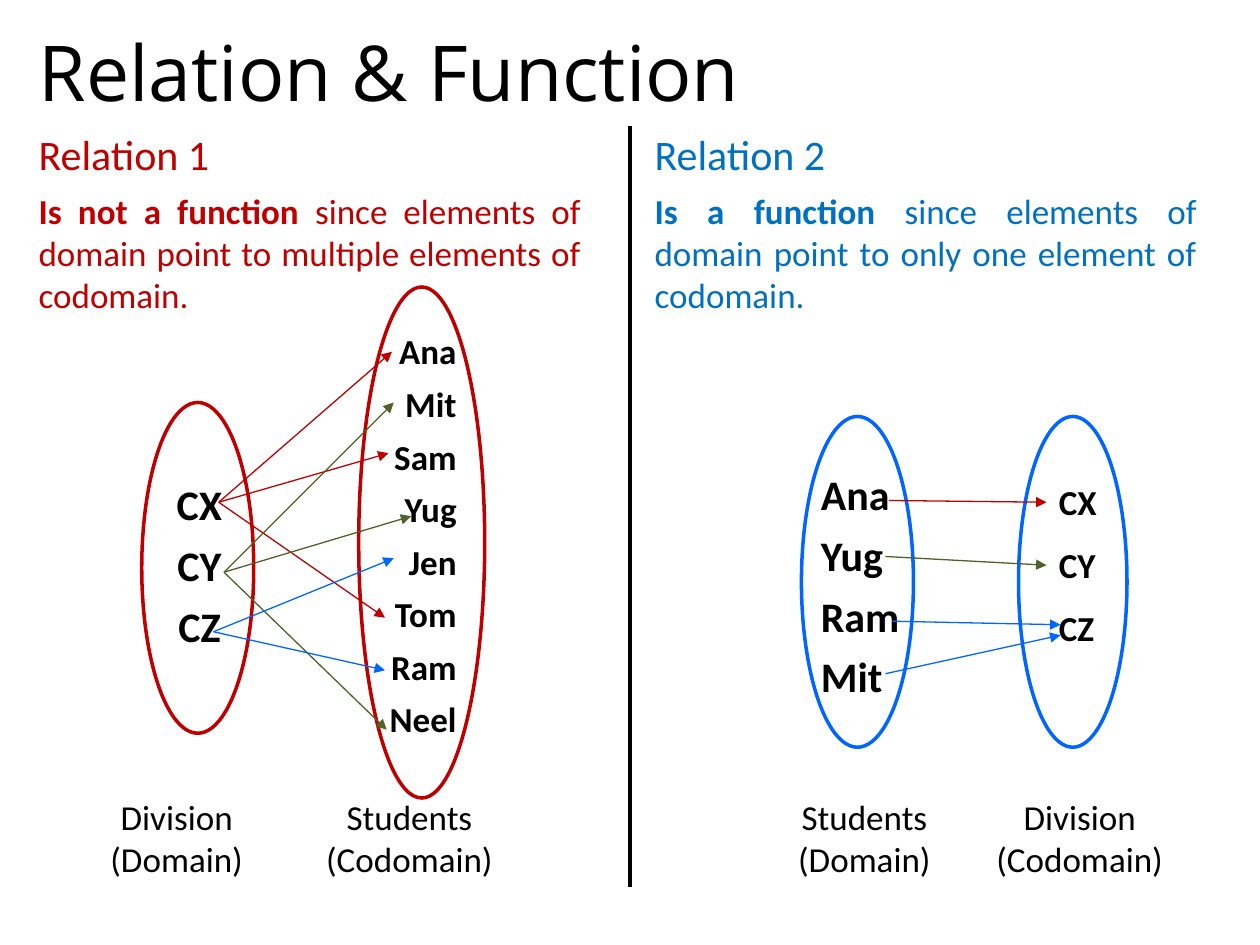
from lxml.etree import SubElement
from pptx import Presentation
from pptx.dml.color import RGBColor
from pptx.enum.shapes import MSO_CONNECTOR as Connector, MSO_SHAPE as Shape
from pptx.enum.text import MSO_ANCHOR as Anchor, PP_ALIGN as Align
from pptx.oxml.ns import qn
from pptx.util import Pt

COLOURS = {"black": "000000", "red": "C00000", "green": "4F6228",
           "blue": "0066FF", "heading_blue": "0070C0"}

RELATION_1 = {
    "heading": "Relation 1", "colour": "red", "outline": "red",
    "verdict": "Is not a function ",
    "reason": "since elements of domain point to multiple elements of codomain.",
    "sets": [
        {"oval": (66, 160, 64, 189), "members": ["CX", "CY", "CZ"],
         "list": (73, 200, 52, 107), "size": 24, "align": Align.CENTER, "after": 0,
         "caption": "Division (Domain)", "caption_left": 21},
        {"oval": (190, 94, 72, 292),
         "members": ["Ana", "Mit", "Sam", "Yug", "Jen", "Tom", "Ram", "Neel"],
         "list": (199, 115, 54, 243), "size": 20, "align": Align.RIGHT, "after": 0,
         "caption": "Students (Codomain)", "caption_left": 154},
    ],
    "arrows": [
        ("red", (110, 217), [(209, 131), (207, 189), (205, 283)]),
        ("green", (113, 257), [(210, 160), (220, 225), (206, 347)]),
        ("blue", (107, 291), [(210, 249), (205, 313)]),
    ],
}

RELATION_2 = {
    "heading": "Relation 2", "colour": "heading_blue", "outline": "blue",
    "verdict": "Is a function ",
    "reason": "since elements of domain point to only one element of codomain.",
    "sets": [
        {"oval": (91, 168, 64, 189), "members": ["Ana", "Yug", "Ram", "Mit"],
         "list": (95, 194, 60, 142), "size": 24, "align": Align.LEFT, "after": 0,
         "caption": "Students (Domain)", "caption_left": 62},
        {"oval": (215, 168, 62, 189), "members": ["CX", "CY", "CZ"],
         "list": (231, 201, 54, 104), "size": 20, "align": Align.LEFT, "after": 6,
         "caption": "Division (Codomain)", "caption_left": 185},
    ],
    "arrows": [
        ("red", (141, 216), [(231, 217)]),
        ("green", (139, 248), [(231, 253)]),
        ("blue", (143, 285), [(239, 287)]),
        ("blue", (139, 315), [(239, 293)]),
    ],
}


def rgb(name):
    """Return the named colour."""
    return RGBColor.from_string(COLOURS[name])


def add_text(slide, box, paragraphs, size, colour="black", align=Align.LEFT,
             font="Calibri", before=0, after=0, anchor=Anchor.TOP):
    """Add a text box whose paragraphs are lists of (words, bold) runs."""
    frame = slide.shapes.add_textbox(*map(Pt, box)).text_frame
    frame.word_wrap = True
    frame.vertical_anchor = anchor
    for index, runs in enumerate(paragraphs):
        paragraph = frame.paragraphs[0] if index == 0 else frame.add_paragraph()
        paragraph.alignment = align
        paragraph.space_before = Pt(before if index else 0)
        paragraph.space_after = Pt(after)
        for words, bold in runs:
            run = paragraph.add_run()
            run.text = words
            run.font.name = font
            run.font.size = Pt(size)
            run.font.bold = bold
            run.font.color.rgb = rgb(colour)


def add_line(slide, start, end, colour, width, arrow=False):
    """Add a straight line, with an arrowhead at its end if asked."""
    line = slide.shapes.add_connector(Connector.STRAIGHT, *map(Pt, start + end))
    line.line.color.rgb = rgb(colour)
    line.line.width = Pt(width)
    if arrow:
        SubElement(line.line._get_or_add_ln(), qn("a:tailEnd"), type="triangle")
    SubElement(line._element.spPr, qn("a:effectLst"))


def add_set(slide, left, top, group, outline):
    """Draw one set: its oval, its members and its caption."""
    x, y, width, height = group["oval"]
    oval = slide.shapes.add_shape(Shape.OVAL, Pt(left + x), Pt(top + y),
                                  Pt(width), Pt(height))
    oval.shadow.inherit = False
    oval.fill.background()
    oval.line.color.rgb = rgb(outline)
    oval.line.width = Pt(2)
    x, y, width, height = group["list"]
    add_text(slide, (left + x, top + y, width, height),
             [[(member, True)] for member in group["members"]], group["size"],
             align=group["align"], before=6, after=group["after"])
    add_text(slide, (left + group["caption_left"], top + 381, 130, 55),
             [[(group["caption"], False)]], 20, align=Align.CENTER)


def add_relation(slide, left, top, relation):
    """Draw one relation: heading, explanation, two sets and the mapping."""
    add_text(slide, (left, top, 129, 36), [[(relation["heading"], False)]],
             24, relation["colour"])
    add_text(slide, (left, top + 35, 324, 80),
             [[(relation["verdict"], True), (relation["reason"], False)]],
             20, relation["colour"], Align.JUSTIFY)
    for group in relation["sets"]:
        add_set(slide, left, top, group, relation["outline"])
    for colour, (x, y), targets in relation["arrows"]:
        for target_x, target_y in targets:
            add_line(slide, (left + x, top + y), (left + target_x, top + target_y),
                     colour, 0.75, arrow=True)


def main():
    """Build the slide and save it."""
    deck = Presentation()
    deck.slide_width, deck.slide_height = Pt(720), Pt(540)
    slide = deck.slides.add_slide(deck.slide_layouts[6])
    add_text(slide, (15, 9, 690, 63), [[("Relation & Function", False)]], 44,
             font="Open Sans", anchor=Anchor.MIDDLE)
    add_relation(slide, 15, 70, RELATION_1)
    add_relation(slide, 367, 70, RELATION_2)
    add_line(slide, (360, 72), (360, 507), "black", 2.25)
    deck.save("out.pptx")


if __name__ == "__main__":
    main()
